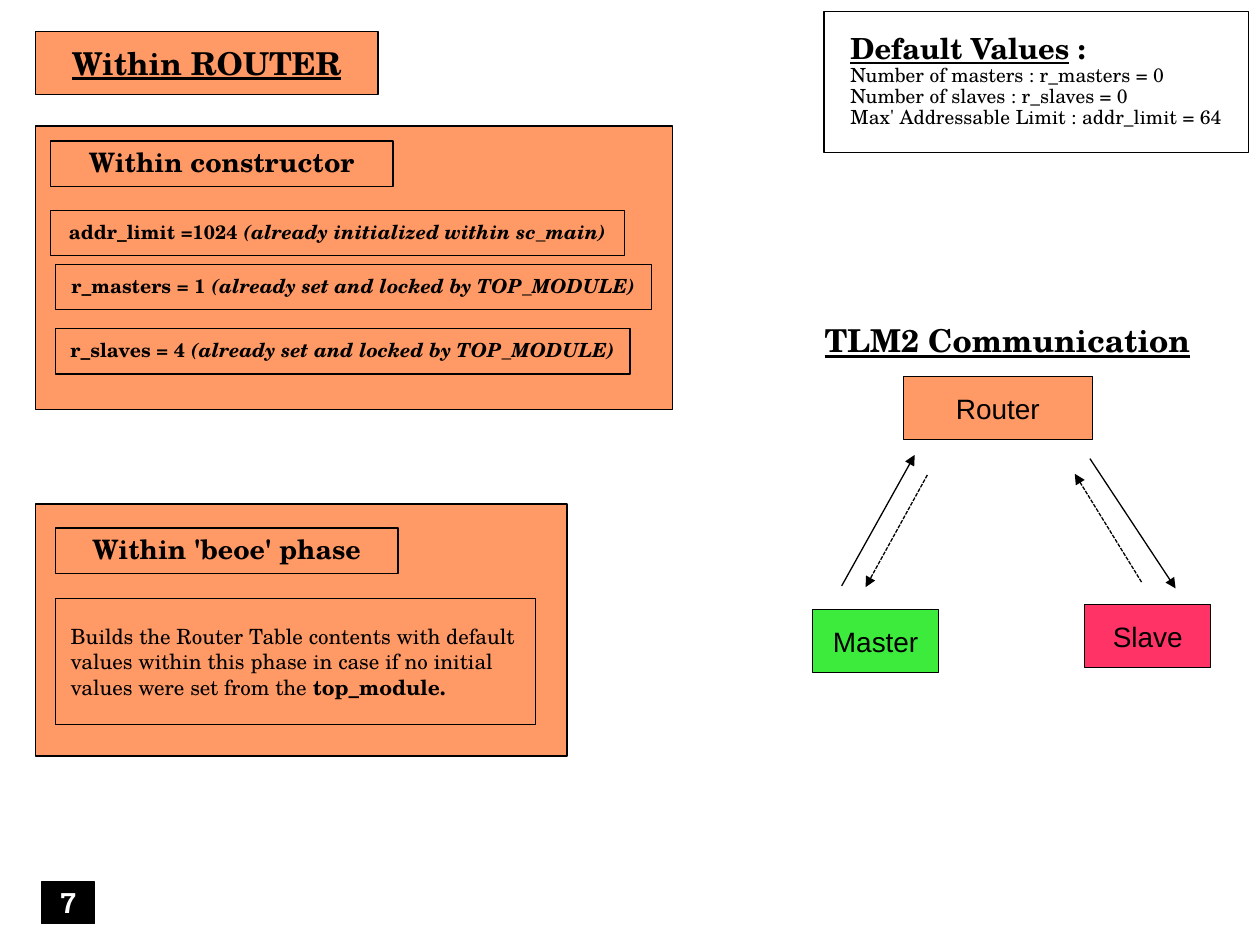
from lxml.etree import SubElement
from pptx import Presentation
from pptx.dml.color import RGBColor as Rgb
from pptx.enum.dml import MSO_LINE_DASH_STYLE as Dash
from pptx.enum.shapes import MSO_CONNECTOR as Connector, MSO_SHAPE as Shape
from pptx.enum.text import MSO_ANCHOR as Anchor, PP_ALIGN as Align
from pptx.oxml.ns import qn
from pptx.util import Inches, Pt

COLOURS = {
    "ink": "000000",
    "paper": "FFFFFF",
    "router": "FF9966",
    "master": "3DEB3D",
    "slave": "FF3366",
}
SERIF, SANS, SLAB = "TeX Gyre Schola", "Arial", "Roboto Slab"
COLUMNS, ROWS = 100, 75


class Sketch:
    """Draws boxes, labels and arrows on a slide laid out as 100 columns by 75 rows."""

    def __init__(self, deck):
        self.page = deck.slides.add_slide(deck.slide_layouts[6])
        self.column = deck.slide_width / COLUMNS
        self.row = deck.slide_height / ROWS

    def place(self, across, down):
        return round(across * self.column), round(down * self.row)

    def colour(self, name):
        return Rgb.from_string(COLOURS[name])

    def box(self, left, top, width, height, fill="router", border=True):
        box = self.page.shapes.add_shape(
            Shape.RECTANGLE, *self.place(left, top), *self.place(width, height))
        box.shadow.inherit = False
        box.fill.solid()
        box.fill.fore_color.rgb = self.colour(fill)
        if border:
            box.line.color.rgb = self.colour("ink")
            box.line.width = Pt(0.75)
        else:
            box.line.fill.background()
        return box

    def letter(self, box, lines, size, font=SERIF, bold=False, underline=None,
               align=Align.CENTER, spacing=None, ink="ink", inset=0.1):
        frame = box.text_frame
        frame.word_wrap = True
        frame.vertical_anchor = Anchor.MIDDLE
        frame.margin_left = Inches(inset)
        for index, spans in enumerate(lines):
            para = frame.paragraphs[0] if index == 0 else frame.add_paragraph()
            para.alignment = align
            para.line_spacing = spacing
            para.font.name = font
            para.font.size = Pt(size)
            para.font.bold = bold
            para.font.underline = underline
            para.font.color.rgb = self.colour(ink)
            for text, style in spans:
                span = para.add_run()
                span.text = text
                span.font.size = style.get("size")
                span.font.bold = style.get("bold")
                span.font.italic = style.get("italic")
                span.font.underline = style.get("underline")

    def label(self, place, text, size, fill="router", border=True, **style):
        self.letter(self.box(*place, fill, border), [[(text, {})]], size, **style)

    def setting(self, place, value, remark):
        spans = [(value + " ", {}), (remark, {"italic": True})]
        self.letter(self.box(*place), [spans], 11.1, bold=True, spacing=0.9)

    def arrow(self, start, end, dashed=False):
        arrow = self.page.shapes.add_connector(
            Connector.STRAIGHT, *self.place(*start), *self.place(*end))
        arrow.line.color.rgb = self.colour("ink")
        arrow.line.width = Pt(0.75)
        if dashed:
            arrow.line.dash_style = Dash.SQUARE_DOT
        properties = arrow.element.spPr
        SubElement(properties.find(qn("a:ln")), qn("a:tailEnd"), type="triangle")
        SubElement(properties, qn("a:effectLst"))


def draw_router(sketch):
    heading = {"bold": True, "spacing": 0.9}
    sketch.label((2.8, 2.5, 27.2, 5), "Within ROUTER", 18, bold=True, underline=True)

    sketch.box(2.8, 10, 50.6, 22.5)
    sketch.label((4, 11.2, 27.2, 3.6), "Within constructor", 15.3, **heading)
    locked = "(already set and locked by TOP_MODULE)"
    sketch.setting((4, 16.7, 45.6, 3.6), "addr_limit =1024",
                   "(already initialized within sc_main)")
    sketch.setting((4.4, 21, 47.3, 3.6), "r_masters = 1", locked)
    sketch.setting((4.4, 26.1, 45.6, 3.6), "r_slaves = 4", locked)

    sketch.box(2.8, 40, 42.2, 20)
    sketch.label((4.4, 41.9, 27.2, 3.6), "Within 'beoe' phase", 15.3, **heading)
    note = [("Builds the Router Table contents with default values within this phase "
             "in case if no initial values were set from the ", {}),
            ("top_module.", {"bold": True})]
    sketch.letter(sketch.box(4.4, 47.5, 38.1, 10), [note], 12, align=Align.LEFT, inset=0.12)


def draw_defaults(sketch):
    title = {"size": Pt(16.6), "bold": True}
    lines = [[("Default Values", {**title, "underline": True}), (" :", title)]]
    lines += [[(text, {})] for text in (
        "Number of masters : r_masters = 0",
        "Number of slaves : r_slaves = 0",
        "Max' Addressable Limit : addr_limit = 64")]
    sketch.letter(sketch.box(65.4, 0.9, 33.7, 11.2, "paper"), lines, 11.1,
                  align=Align.LEFT, spacing=0.9, inset=0.21)


def draw_communication(sketch):
    sketch.label((64.5, 48.4, 10, 5), "Master", 16, font=SANS, fill="master")
    sketch.label((86.1, 48, 10, 5), "Slave", 16, font=SANS, fill="slave")
    sketch.label((71.7, 29.9, 15, 5), "Router", 16, font=SANS)
    sketch.label((63.7, 24.5, 32.5, 5), "TLM2 Communication", 18, bold=True,
                 underline=True, fill="paper", border=False)
    sketch.arrow((66.8, 46.5), (72.6, 36.1))
    sketch.arrow((86.5, 36.4), (93.3, 46.7))
    sketch.arrow((90.6, 46.2), (85.3, 37.6), dashed=True)
    sketch.arrow((73.6, 37.7), (68.7, 46.6), dashed=True)


def main():
    deck = Presentation()
    deck.slide_width, deck.slide_height = Inches(10), Inches(7.5)
    sketch = Sketch(deck)
    draw_router(sketch)
    draw_defaults(sketch)
    draw_communication(sketch)
    sketch.label((3.3, 70, 4.2, 3.3), "7", 16, font=SLAB, bold=True,
                 fill="ink", ink="paper")
    deck.save("out.pptx")


if __name__ == "__main__":
    main()
